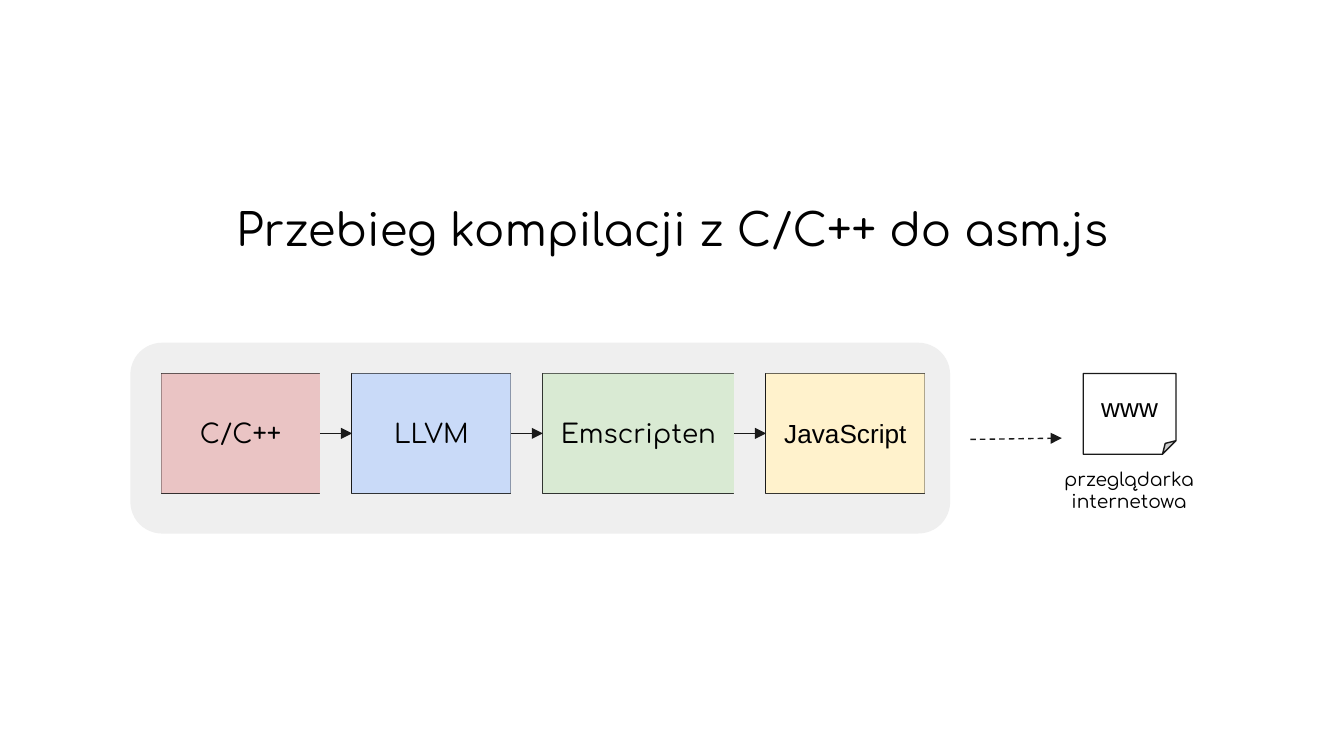
import dataclasses

import pptx
import pptx.dml.color
import pptx.enum.dml
import pptx.enum.shapes
import pptx.enum.text
import pptx.oxml.ns
import pptx.util
from lxml import etree

Inches = pptx.util.Inches
Pt = pptx.util.Pt
Shapes = pptx.enum.shapes.MSO_SHAPE
Anchor = pptx.enum.text.MSO_ANCHOR

INK = "1A1A1A"
BLACK = "000000"
WHITE = "FFFFFF"
ROUNDED_FONT = "Comfortaa"
PLAIN_FONT = "Arial"

SLIDE_WIDTH = 10
SLIDE_HEIGHT = SLIDE_WIDTH * 9 / 16
STAGE_LEFT, STAGE_TOP, STAGE_HEIGHT, STAGE_GAP = 1.2, 2.78, 0.89, 0.24


@dataclasses.dataclass
class Box:
    left: float
    top: float
    width: float
    height: float

    def lengths(self) -> list:
        return [Inches(v) for v in dataclasses.astuple(self)]


@dataclasses.dataclass
class Stage:
    label: str
    fill: str
    width: float = 1.18
    font: str = ROUNDED_FONT


STAGES = [
    Stage("C/C++", "EAC4C4"),
    Stage("LLVM", "C9DAF8"),
    Stage("Emscripten", "D9EAD3", width=1.42),
    Stage("JavaScript", "FFF2CC", font=PLAIN_FONT),
]


def rgb(value: str) -> pptx.dml.color.RGBColor:
    return pptx.dml.color.RGBColor.from_string(value)


def write(frame, lines: list[str], size: float, font: str, anchor=Anchor.TOP) -> None:
    """Fill a text frame with centred lines, one paragraph each."""
    frame.word_wrap = True
    frame.auto_size = pptx.enum.text.MSO_AUTO_SIZE.NONE
    frame.vertical_anchor = anchor
    frame.margin_left = frame.margin_right = Inches(0.1)
    frame.margin_top = frame.margin_bottom = Inches(0.1)
    for index, line in enumerate(lines):
        paragraph = frame.add_paragraph() if index else frame.paragraphs[0]
        paragraph.alignment = pptx.enum.text.PP_ALIGN.CENTER
        run = paragraph.add_run()
        run.text = line
        run.font.size = Pt(size)
        run.font.name = font
        run.font.color.rgb = rgb(BLACK)


def add_block(slide, kind, box: Box, fill: str, outlined: bool = False):
    block = slide.shapes.add_shape(kind, *box.lengths())
    block.shadow.inherit = False
    block.fill.solid()
    block.fill.fore_color.rgb = rgb(fill)
    if outlined:
        block.line.color.rgb = rgb(INK)
        block.line.width = Pt(0.75)
    else:
        block.line.fill.background()
    return block


def add_arrow(slide, start: tuple[float, float], end: tuple[float, float],
              dashed: bool = False) -> None:
    arrow = slide.shapes.add_connector(
        pptx.enum.shapes.MSO_CONNECTOR.STRAIGHT, *(Inches(v) for v in start + end))
    arrow.line.color.rgb = rgb(INK)
    arrow.line.width = Pt(0.75)
    if dashed:
        arrow.line.dash_style = pptx.enum.dml.MSO_LINE.DASH
    properties = arrow.element.spPr
    outline = properties.find(pptx.oxml.ns.qn("a:ln"))
    etree.SubElement(outline, pptx.oxml.ns.qn("a:tailEnd"), type="triangle")
    etree.SubElement(properties, pptx.oxml.ns.qn("a:effectLst"))


def add_stage(slide, stage: Stage, left: float) -> None:
    """Draw an outlined frame with a coloured, labelled face over it."""
    box = Box(left, STAGE_TOP, stage.width, STAGE_HEIGHT)
    add_block(slide, Shapes.RECTANGLE, box, "E9EDEE", outlined=True)
    face = add_block(slide, Shapes.RECTANGLE, box, stage.fill)
    write(face.text_frame, [stage.label], 14, stage.font, Anchor.MIDDLE)


def add_pipeline(slide) -> None:
    add_block(slide, Shapes.ROUNDED_RECTANGLE, Box(0.97, 2.55, 6.1, 1.42), "EFEFEF")
    left = STAGE_LEFT
    arrow_y = STAGE_TOP + STAGE_HEIGHT / 2
    for index, stage in enumerate(STAGES):
        add_stage(slide, stage, left)
        if index:
            add_arrow(slide, (left - STAGE_GAP, arrow_y), (left, arrow_y))
        left += stage.width + STAGE_GAP


def add_browser(slide) -> None:
    page = add_block(slide, Shapes.FOLDED_CORNER, Box(8.06, STAGE_TOP, 0.69, 0.6),
                     WHITE, outlined=True)
    write(page.text_frame, ["www"], 14, PLAIN_FONT, Anchor.MIDDLE)
    caption = slide.shapes.add_textbox(*Box(7.77, 3.38, 1.26, 0.5).lengths())
    write(caption.text_frame, ["przeglądarka", "internetowa"], 10, ROUNDED_FONT)
    add_arrow(slide, (7.22, 3.27), (7.9, 3.26), dashed=True)


def add_title(slide) -> None:
    title = slide.shapes.title
    title.left, title.top, title.width, title.height = Box(0.97, 1.4, 8.06, 0.5).lengths()
    write(title.text_frame, ["Przebieg kompilacji z C/C++ do asm.js"], 24, ROUNDED_FONT)


def main() -> None:
    presentation = pptx.Presentation()
    presentation.slide_width = Inches(SLIDE_WIDTH)
    presentation.slide_height = Inches(SLIDE_HEIGHT)
    title_only = presentation.slide_layouts[5]
    slide = presentation.slides.add_slide(title_only)
    add_title(slide)
    add_pipeline(slide)
    add_browser(slide)
    presentation.save("out.pptx")


if __name__ == "__main__":
    main()
